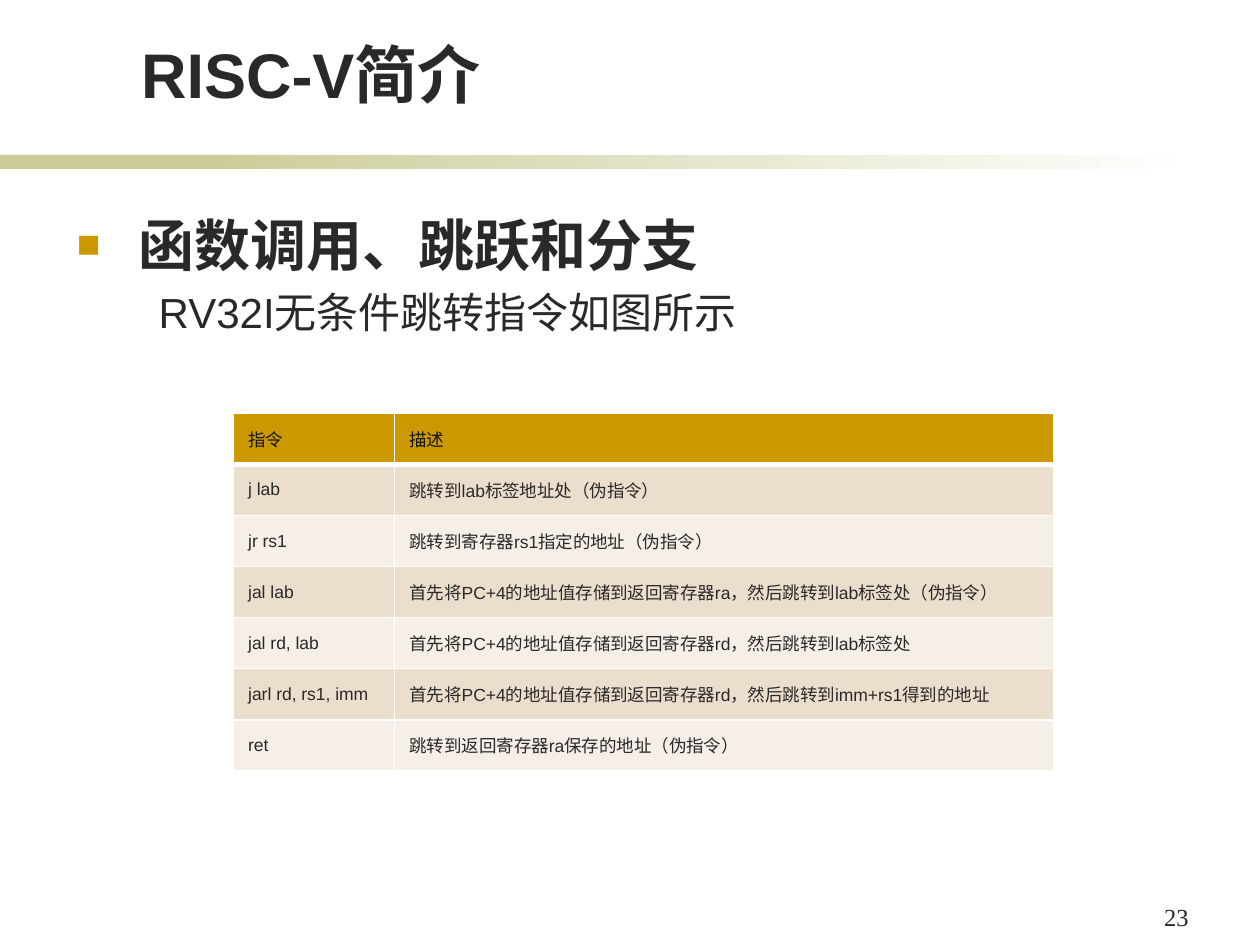
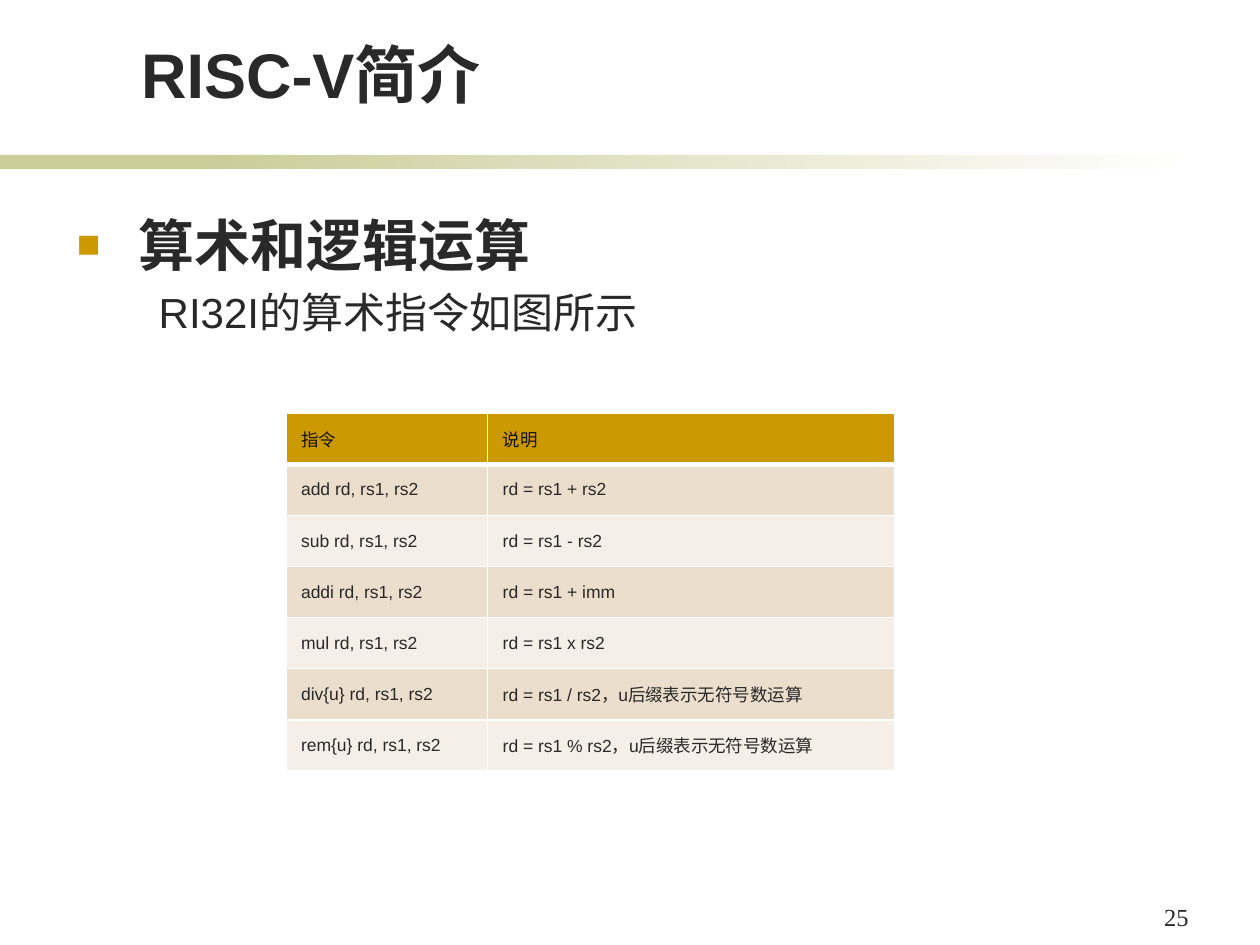
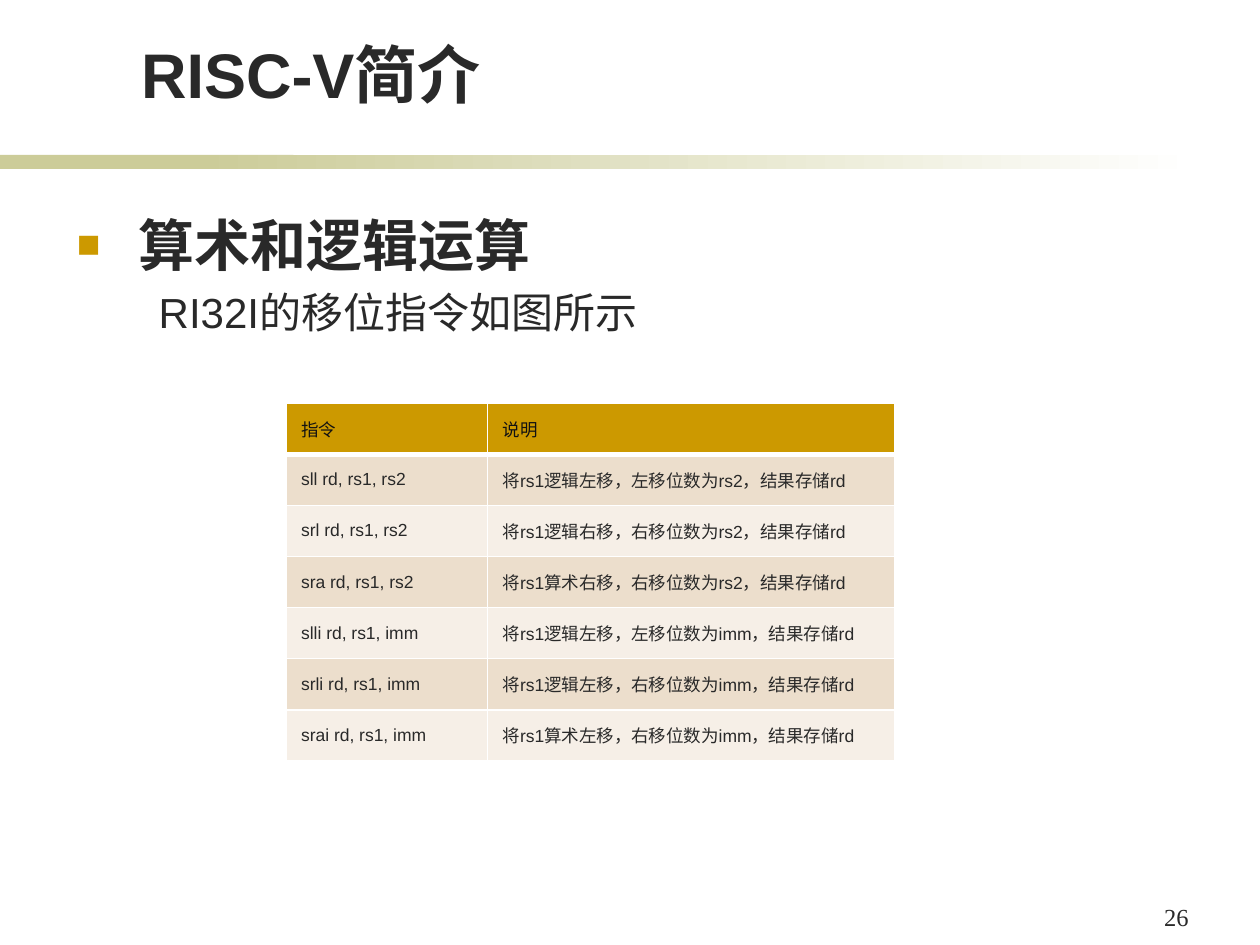
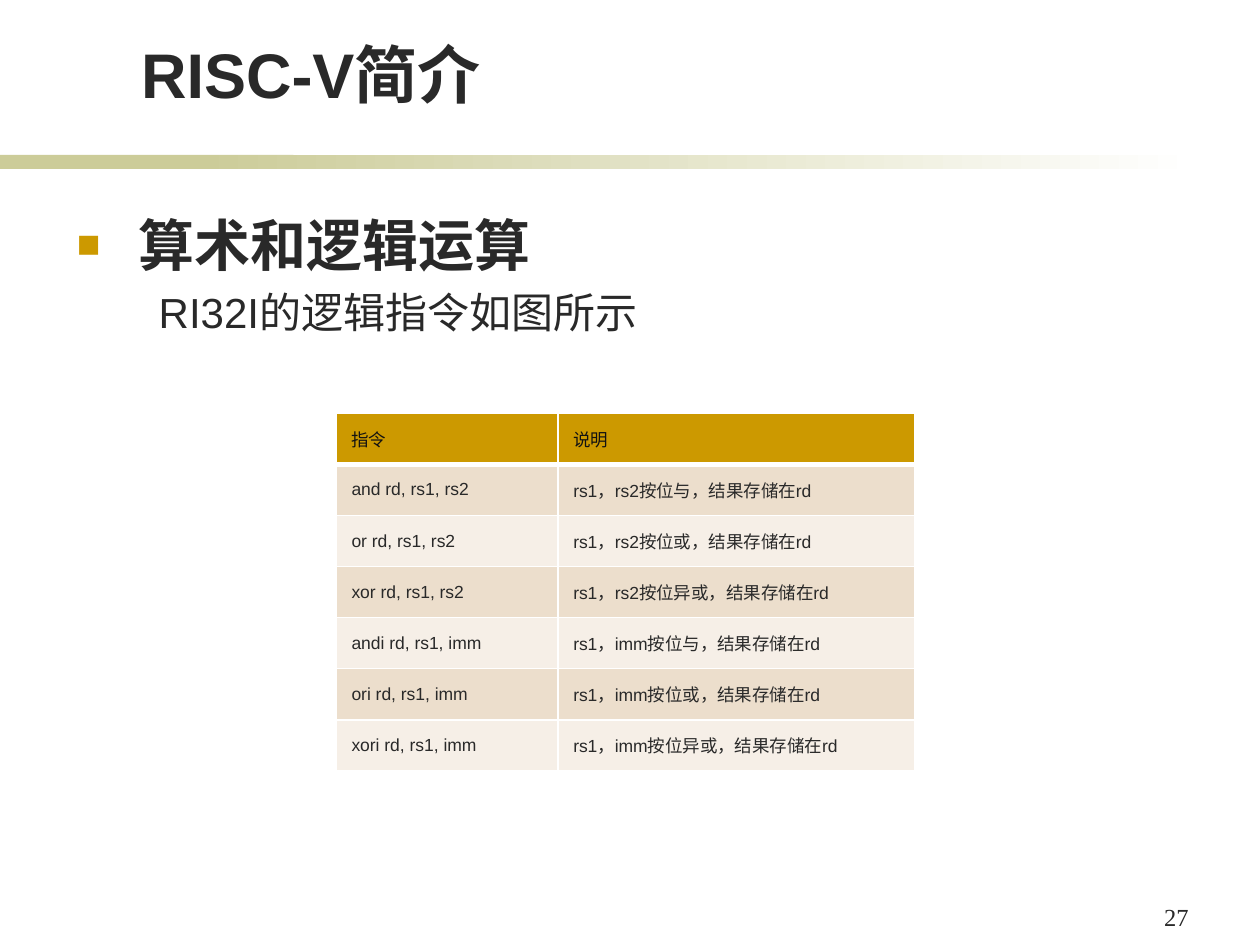
from lxml.etree import SubElement
from pptx import Presentation
from pptx.dml.color import RGBColor
from pptx.enum.shapes import MSO_SHAPE as Shape
from pptx.enum.text import MSO_ANCHOR as Anchor, MSO_AUTO_SIZE as AutoSize, PP_ALIGN as Align
from pptx.oxml.ns import qn
from pptx.util import Inches, Pt

COLORS = {
    "text": "292929",
    "header_text": "121212",
    "accent": "CC9900",
    "band": "CCCC99",
    "white": "FFFFFF",
    "odd_row": "ECDECC",
    "even_row": "F6EFE7",
}
FONTS = {
    "title": {"name": "Arial", "size": Pt(36), "bold": True},
    "heading": {"name": "Arial", "size": Pt(32), "bold": True},
    "lead": {"name": "Arial", "size": Pt(24), "bold": False},
    "cell": {"name": "Arial", "size": Pt(10), "bold": False},
    "number": {"name": "Times New Roman", "size": Pt(14)},
}
CELL_FORMAT = {
    "margin_left": Inches(0.12),
    "margin_right": Inches(0.12),
    "margin_top": Inches(0.03),
    "margin_bottom": Inches(0.03),
    "vertical_anchor": Anchor.MIDDLE,
}
TABLE_HEIGHT = 2.84

PAGES = [
    {
        "number": 23,
        "heading": "函数调用、跳跃和分支",
        "lead": "RV32I无条件跳转指令如图所示",
        "corner": (1.85, 3.28),
        "widths": (1.28, 5.23),
        "rows": [
            ("指令", "描述"),
            ("j lab", "跳转到lab标签地址处（伪指令）"),
            ("jr rs1", "跳转到寄存器rs1指定的地址（伪指令）"),
            ("jal lab", "首先将PC+4的地址值存储到返回寄存器ra，然后跳转到lab标签处（伪指令）"),
            ("jal rd, lab", "首先将PC+4的地址值存储到返回寄存器rd，然后跳转到lab标签处"),
            ("jarl rd, rs1, imm", "首先将PC+4的地址值存储到返回寄存器rd，然后跳转到imm+rs1得到的地址"),
            ("ret", "跳转到返回寄存器ra保存的地址（伪指令）"),
        ],
    },
    {
        "number": 25,
        "heading": "算术和逻辑运算",
        "lead": "RI32I的算术指令如图所示",
        "corner": (2.27, 3.28),
        "widths": (1.6, 3.23),
        "rows": [
            ("指令", "说明"),
            ("add rd, rs1, rs2", "rd = rs1 + rs2"),
            ("sub rd, rs1, rs2", "rd = rs1 - rs2"),
            ("addi rd, rs1, rs2", "rd = rs1 + imm"),
            ("mul rd, rs1, rs2", "rd = rs1 x rs2"),
            ("div{u} rd, rs1, rs2", "rd = rs1 / rs2，u后缀表示无符号数运算"),
            ("rem{u} rd, rs1, rs2", "rd = rs1 % rs2，u后缀表示无符号数运算"),
        ],
    },
    {
        "number": 26,
        "heading": "算术和逻辑运算",
        "lead": "RI32I的移位指令如图所示",
        "corner": (2.27, 3.2),
        "widths": (1.6, 3.23),
        "rows": [
            ("指令", "说明"),
            ("sll rd, rs1, rs2", "将rs1逻辑左移，左移位数为rs2，结果存储rd"),
            ("srl rd, rs1, rs2", "将rs1逻辑右移，右移位数为rs2，结果存储rd"),
            ("sra rd, rs1, rs2", "将rs1算术右移，右移位数为rs2，结果存储rd"),
            ("slli rd, rs1, imm", "将rs1逻辑左移，左移位数为imm，结果存储rd"),
            ("srli rd, rs1, imm", "将rs1逻辑左移，右移位数为imm，结果存储rd"),
            ("srai rd, rs1, imm", "将rs1算术左移，右移位数为imm，结果存储rd"),
        ],
    },
    {
        "number": 27,
        "heading": "算术和逻辑运算",
        "lead": "RI32I的逻辑指令如图所示",
        "corner": (2.67, 3.28),
        "widths": (1.76, 2.83),
        "rows": [
            ("指令", "说明"),
            ("and rd, rs1, rs2", "rs1，rs2按位与，结果存储在rd"),
            ("or rd, rs1, rs2", "rs1，rs2按位或，结果存储在rd"),
            ("xor rd, rs1, rs2", "rs1，rs2按位异或，结果存储在rd"),
            ("andi rd, rs1, imm", "rs1，imm按位与，结果存储在rd"),
            ("ori rd, rs1, imm", "rs1，imm按位或，结果存储在rd"),
            ("xori rd, rs1, imm", "rs1，imm按位异或，结果存储在rd"),
        ],
    },
]


def rgb(name):
    return RGBColor.from_string(COLORS[name])


def apply(target, values):
    for key, value in values.items():
        setattr(target, key, value)


class Deck:
    """Holds the deck style and the current page, and draws each kind of element."""

    def __init__(self):
        self.deck = Presentation()
        apply(self.deck, {"slide_width": Inches(10), "slide_height": Inches(7.5)})
        self.page = None

    def new_page(self):
        self.page = self.deck.slides.add_slide(self.deck.slide_layouts[1])
        if len(self.deck.slides) == 1:
            self.master_bands()

    def master_bands(self):
        solid = self.band(0, 2.33)
        solid.fill.solid()
        solid.fill.fore_color.rgb = rgb("band")
        fading = self.band(1.58, 7.92)
        fading.fill.gradient()
        fading.fill.gradient_angle = 0
        for stop, color in zip(fading.fill.gradient_stops, ("band", "white")):
            stop.color.rgb = rgb(color)
        for shape in (solid, fading):
            self.deck.slide_master.shapes.element.append(shape.element)

    def band(self, left, width):
        shape = self.page.shapes.add_shape(
            Shape.RECTANGLE, Inches(left), Inches(1.23), Inches(width), Inches(0.11))
        shape.shadow.inherit = False
        shape.line.fill.background()
        return shape

    def place(self, box, left, top, width, height):
        apply(box, {"left": Inches(left), "top": Inches(top),
                    "width": Inches(width), "height": Inches(height)})
        apply(box.text_frame, {"word_wrap": True, "auto_size": AutoSize.NONE})

    def add_text(self, para, text, style, color="text"):
        para.alignment = Align.LEFT
        span = para.add_run()
        span.text = text
        apply(span.font, FONTS[style])
        span.font.color.rgb = rgb(color)

    def title(self, text):
        box = self.page.shapes.title
        self.place(box, 1.02, 0.23, 7.34, 0.7)
        box.text_frame.vertical_anchor = Anchor.BOTTOM
        self.add_text(box.text_frame.paragraphs[0], text, "title")

    def body(self, heading, lead):
        box = self.page.placeholders[1]
        self.place(box, 0.51, 1.62, 8.91, 4.8)
        first = box.text_frame.paragraphs[0]
        self.add_text(first, heading, "heading")
        marks = self.indent(first, 0.49, -0.49)
        SubElement(SubElement(marks, qn("a:buClr")), qn("a:srgbClr"), val=COLORS["accent"])
        SubElement(marks, qn("a:buSzPct"), val="70000")
        SubElement(marks, qn("a:buFont"), typeface="Arial")
        SubElement(marks, qn("a:buChar"), char="■")
        second = box.text_frame.add_paragraph()
        second.level = 1
        self.add_text(second, lead, "lead")
        SubElement(self.indent(second, 0.65, 0), qn("a:buNone"))

    def indent(self, para, margin, first_line):
        props = para._p.get_or_add_pPr()
        props.set("marL", str(Inches(margin)))
        props.set("indent", str(Inches(first_line)))
        return props

    def table(self, corner, widths, rows):
        left, top = corner
        grid = self.page.shapes.add_table(
            len(rows), len(widths), Inches(left), Inches(top),
            Inches(sum(widths)), Inches(TABLE_HEIGHT)).table
        for column, width in zip(grid.columns, widths):
            column.width = Inches(width)
        for index, texts in enumerate(rows):
            color = "header_text" if index == 0 else "text"
            fill = "accent" if index == 0 else ("odd_row" if index % 2 else "even_row")
            for column, text in enumerate(texts):
                cell = grid.cell(index, column)
                apply(cell, CELL_FORMAT)
                self.add_text(cell.text_frame.paragraphs[0], text, "cell", color)
                self.borders(cell, top=3 if index == 1 else 1, bottom=3 if index == 0 else 1)
                cell.fill.solid()
                cell.fill.fore_color.rgb = rgb(fill)

    def borders(self, cell, top, bottom):
        props = cell._tc.get_or_add_tcPr()
        for side, width in {"L": 1, "R": 1, "T": top, "B": bottom}.items():
            line = SubElement(props, qn(f"a:ln{side}"), w=str(Pt(width)))
            SubElement(SubElement(line, qn("a:solidFill")), qn("a:srgbClr"), val=COLORS["white"])

    def page_number(self, number):
        box = self.page.shapes.add_textbox(0, 0, 0, 0)
        self.place(box, 9.14, 7.11, 0.47, 0.34)
        self.add_text(box.text_frame.paragraphs[0], str(number), "number")


def main():
    deck = Deck()
    for content in PAGES:
        deck.new_page()
        deck.title("RISC-V简介")
        deck.body(content["heading"], content["lead"])
        deck.table(content["corner"], content["widths"], content["rows"])
        deck.page_number(content["number"])
    deck.deck.save("out.pptx")


if __name__ == "__main__":
    main()
